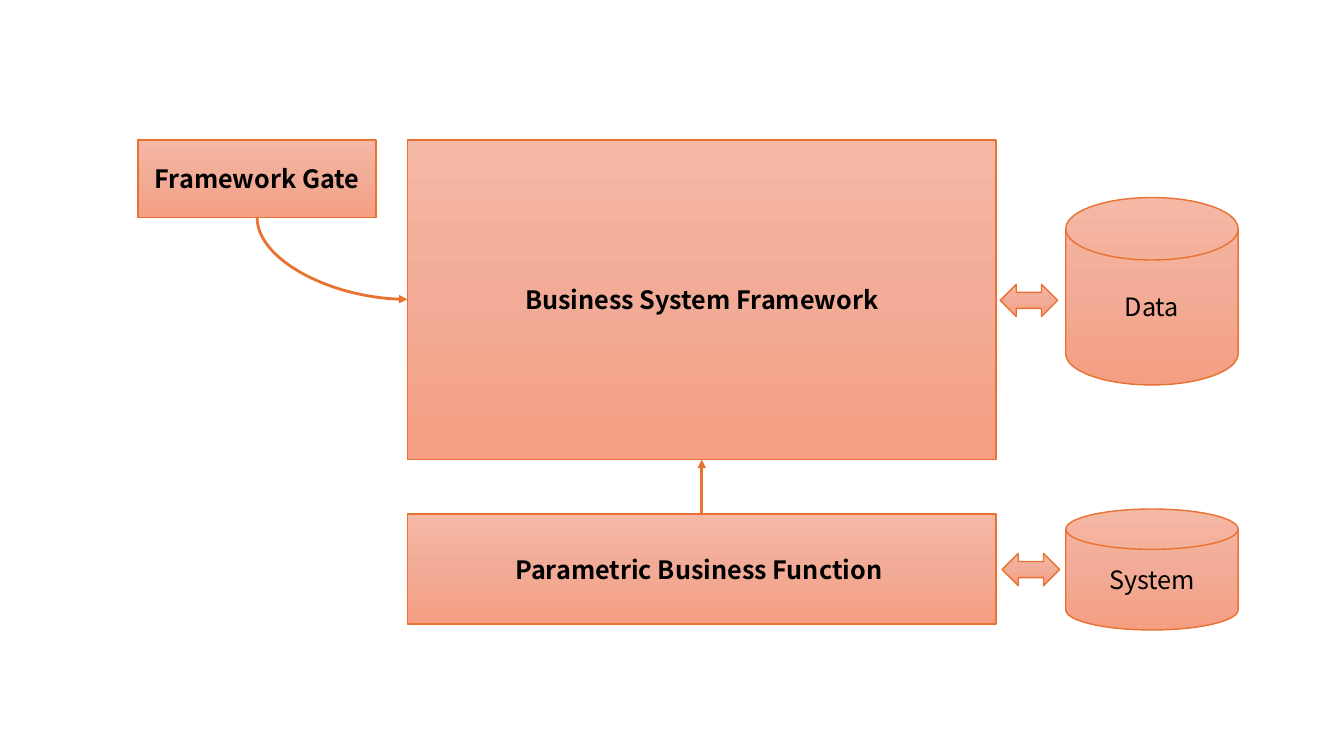
from copy import deepcopy
from dataclasses import dataclass
from lxml.etree import SubElement as Sub
from pptx import Presentation
from pptx.dml.color import RGBColor as Rgb
from pptx.enum.shapes import MSO_CONNECTOR as Conn, MSO_SHAPE as Kind
from pptx.enum.text import MSO_ANCHOR as Anchor, PP_ALIGN as Align
from pptx.oxml.ns import qn
from pptx.util import Inches, Pt


@dataclass(frozen=True)
class Theme:
    font: str = "Noto Sans CJK JP"
    size: int = 18
    text: str = "000000"
    edge: str = "E97132"
    shades: tuple = ("F5B8A5", "F2AB96", "F59E82")
    thin: float = 1
    thick: float = 2


class Board:
    def __init__(self, slide, theme):
        self.slide = slide
        self.theme = theme

    def shape(self, kind, left, top, width, height, text="", bold=False):
        item = self.slide.shapes.add_shape(
            kind, Inches(left), Inches(top), Inches(width), Inches(height))
        item.shadow.inherit = False
        self.shade(item)
        item.line.color.rgb = Rgb.from_string(self.theme.edge)
        item.line.width = Pt(self.theme.thin)
        if text:
            self.label(item.text_frame, text, bold)
        return item

    def shade(self, item):
        item.fill.gradient()
        item.fill.gradient_angle = 270
        stops = item._element.spPr.find(".//" + qn("a:gsLst"))
        stops.insert(1, deepcopy(stops[0]))
        stops[1].set("pos", "50000")
        for stop, shade in zip(item.fill.gradient_stops, self.theme.shades):
            stop.color.rgb = Rgb.from_string(shade)

    def label(self, frame, text, bold):
        frame.text = text
        frame.word_wrap = True
        frame.vertical_anchor = Anchor.MIDDLE
        para = frame.paragraphs[0]
        para.alignment = Align.CENTER
        font = para.runs[0].font
        font.name = self.theme.font
        font.size = Pt(self.theme.size)
        font.bold = bold
        font.color.rgb = Rgb.from_string(self.theme.text)

    def arrow(self, kind, start, end):
        link = self.slide.shapes.add_connector(
            kind, *(Inches(n) for n in (*start, *end)))
        link.line.color.rgb = Rgb.from_string(self.theme.edge)
        link.line.width = Pt(self.theme.thick)
        props = link._element.spPr
        Sub(props.find(qn("a:ln")), qn("a:tailEnd"), type="triangle")
        Sub(props, qn("a:effectLst"))
        return link

    def rise(self, low, high, start, end):
        link = self.arrow(Conn.STRAIGHT, start, end)
        link.begin_connect(low, 0)
        link.end_connect(high, 2)

    def bend(self, start, end):
        midx, midy = ((a + b) / 2 for a, b in zip(start, end))
        wide, tall = end[0] - start[0], end[1] - start[1]
        link = self.arrow(Conn.CURVE, (midx + tall / 2, midy - wide / 2),
                          (midx - tall / 2, midy + wide / 2))
        props = link._element.spPr
        props.find(qn("a:xfrm")).set("rot", "16200000")
        props.find(qn("a:prstGeom")).set("prst", "curvedConnector2")


def main():
    deck = Presentation()
    deck.slide_width, deck.slide_height = Inches(13.33), Inches(7.5)
    board = Board(deck.slides.add_slide(deck.slide_layouts[6]), Theme())

    left, top, width = 4.04, 1.39, 5.84
    core = board.shape(Kind.RECTANGLE, left, top, width, 3.17,
                       "Business System Framework", True)
    board.shape(Kind.RECTANGLE, 1.37, top, 2.36, 0.77, "Framework Gate", True)
    board.bend((2.55, 2.16), (left, 2.97))
    task = board.shape(Kind.RECTANGLE, left, 5.1, width, 1.09,
                       "Parametric Business Function ", True)
    board.rise(task, core, (6.96, 5.1), (6.96, 4.56))

    for text, y, height in (("Data", 1.96, 1.86), ("System", 5.05, 1.2)):
        board.shape(Kind.FLOWCHART_MAGNETIC_DISK, 10.57, y, 1.71, height, text)
    for x, y in ((9.92, 2.82), (9.94, 5.49)):
        board.shape(Kind.LEFT_RIGHT_ARROW, x, y, 0.57, 0.32)

    deck.save("out.pptx")


if __name__ == "__main__":
    main()
